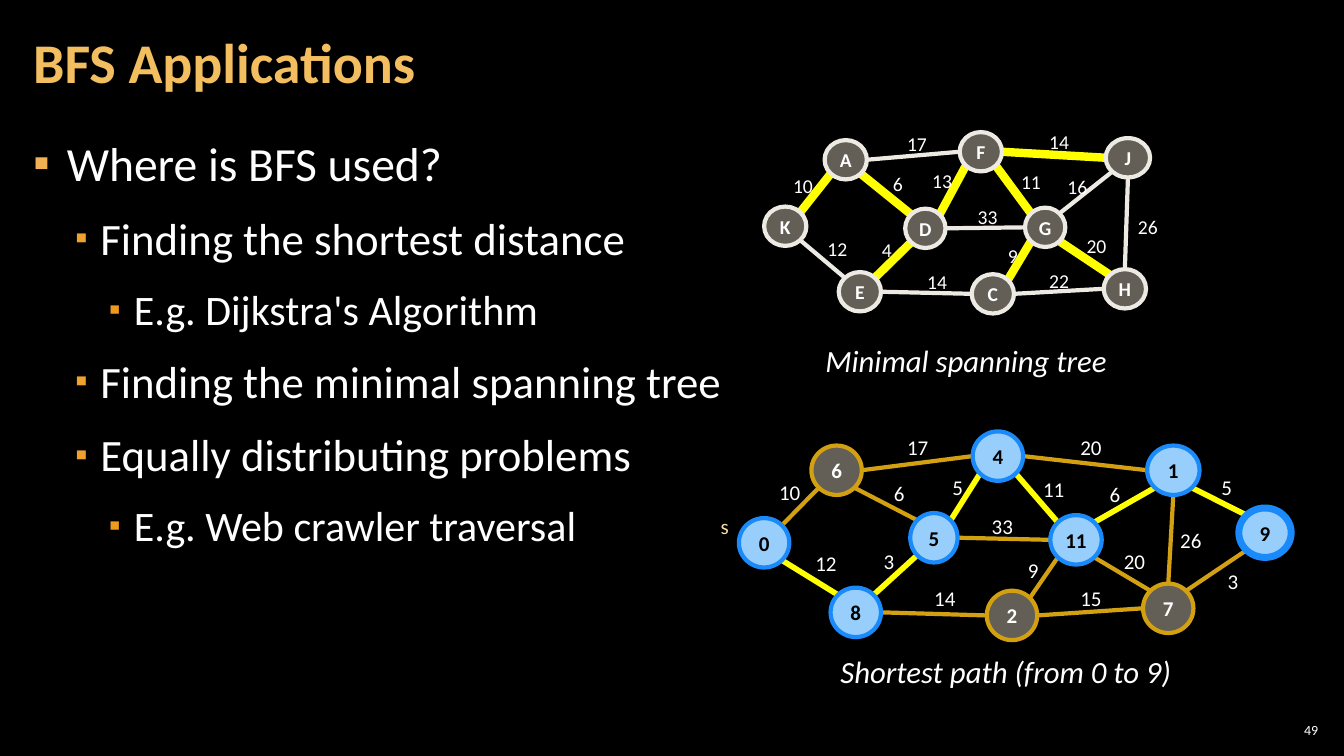
from dataclasses import dataclass
from math import cos, radians, sin

from lxml.etree import SubElement
from pptx import Presentation
from pptx.dml.color import RGBColor
from pptx.enum.shapes import MSO_CONNECTOR, MSO_SHAPE
from pptx.enum.text import MSO_ANCHOR, MSO_AUTO_SIZE, PP_ALIGN
from pptx.oxml.ns import qn
from pptx.shapes.shapetree import GroupShapes
from pptx.slide import Slide
from pptx.text.text import TextFrame, _Paragraph as Paragraph
from pptx.util import Pt

FONT = "Calibri"
BLACK = RGBColor(0x00, 0x00, 0x00)
WHITE = RGBColor(0xFF, 0xFF, 0xFF)
TITLE_GOLD = RGBColor(0xF3, 0xBE, 0x60)
START_CREAM = RGBColor(0xF8, 0xE1, 0x9F)
YELLOW = RGBColor(0xFF, 0xFF, 0x00)
IVORY = RGBColor(0xEC, 0xEA, 0xE3)
OCHRE = RGBColor(0xD2, 0xA0, 0x10)
STONE = RGBColor(0xC7, 0xBF, 0xAC)
SKY = RGBColor(0x97, 0xCE, 0xFB)
BLUE = RGBColor(0x1A, 0x8A, 0xFA)

# Degrees clockwise from east
HEADINGS = {"E": 0, "SE": 45, "S": 90, "SW": 135, "W": 180, "NW": 225, "N": 270, "NE": 315}


@dataclass(frozen=True)
class BulletLevel:
    size: int
    margin: float
    hanging: float
    color: str
    percent: int


@dataclass(frozen=True)
class Node:
    """A vertex given by its centre and width."""
    x: float
    y: float
    width: float
    visited: bool = False
    outline: float = 3

    def rim(self, height: float, degrees: float) -> tuple[float, float]:
        """Point on the ellipse in the given direction."""
        angle = radians(degrees)
        return self.x + self.width / 2 * cos(angle), self.y + height / 2 * sin(angle)


@dataclass(frozen=True)
class Edge:
    """An edge leaving start at a heading and meeting end on the opposite rim."""
    start: str
    heading: str
    end: str
    weight: str
    label_x: float
    label_y: float
    chosen: bool = False


@dataclass(frozen=True)
class Graph:
    nodes: dict[str, Node]
    edges: list[Edge]
    node_height: float
    size: int
    line_color: RGBColor
    chosen_width: float
    caption: str
    caption_box: tuple[float, float, float, float]


LEVELS = [
    BulletLevel(34, 24, 24, "F2B254", 100),
    BulletLevel(32, 48, 18, "F0A22E", 80),
    BulletLevel(30, 72, 18, "EF9A1D", 80),
]
APPLICATIONS = [
    (0, "Where is BFS used?"),
    (1, "Finding the shortest distance"),
    (2, "E.g. Dijkstra's Algorithm"),
    (1, "Finding the minimal spanning tree"),
    (1, "Equally distributing problems"),
    (2, "E.g. Web crawler traversal"),
]

SPANNING_TREE = Graph(
    nodes={
        "A": Node(604.1, 114.1, 30.2), "F": Node(700.6, 108.4, 30.2),
        "J": Node(805.7, 112.7, 31.7), "K": Node(560.9, 161.6, 30.2),
        "D": Node(661, 163.1, 28.8), "G": Node(746.6, 162.4, 28.8),
        "E": Node(614.2, 208.4, 30.2), "C": Node(709.2, 209.9, 30.2),
        "H": Node(803.5, 206.3, 30.2),
    },
    edges=[
        Edge("K", "NE", "A", "10", 559.4, 121, True), Edge("K", "SE", "E", "12", 583.9, 165.6),
        Edge("A", "E", "F", "17", 640.8, 90.7), Edge("D", "NW", "A", "6", 630.7, 119.5, True),
        Edge("D", "E", "G", "33", 691.2, 142.6), Edge("F", "E", "J", "14", 742.3, 89.3, True),
        Edge("G", "NE", "J", "16", 755.3, 121.7), Edge("H", "N", "J", "26", 805.7, 149.8),
        Edge("G", "SE", "H", "20", 769, 163.4, True), Edge("C", "W", "E", "14", 655.2, 189.4),
        Edge("H", "W", "C", "22", 742.3, 188.6), Edge("C", "NE", "G", "9", 712.8, 170.6, True),
        Edge("D", "SW", "E", "4", 622.8, 166.3, True), Edge("F", "SW", "D", "13", 658.8, 117.4, True),
        Edge("G", "NW", "F", "11", 722.2, 118.1, True),
    ],
    node_height=28.1, size=14, line_color=IVORY, chosen_width=6,
    caption="Minimal spanning tree", caption_box=(582.5, 240.5, 242.6, 33.8),
)
SHORTEST_PATH = Graph(
    nodes={
        "6": Node(597.6, 335.9, 36), "4": Node(712.8, 325.8, 36, True),
        "1": Node(838.1, 335.9, 37.4, True), "0": Node(545.8, 387.7, 36, True),
        "5": Node(667.1, 384.1, 33.8, True), "11": Node(768.6, 385.6, 36.7, True),
        "9": Node(903.6, 380.5, 37.4, True, 5), "8": Node(611.3, 437.4, 36, True),
        "2": Node(722.9, 439.6, 36), "7": Node(834.5, 434.5, 36),
    },
    edges=[
        Edge("0", "NE", "6", "10", 549.4, 339.1), Edge("0", "SE", "8", "12", 575.3, 389.5, True),
        Edge("6", "E", "4", "17", 640.8, 306.7), Edge("5", "NW", "6", "6", 631.4, 339.8),
        Edge("5", "E", "11", "33", 701.3, 363.6), Edge("4", "E", "1", "20", 764.6, 306.7),
        Edge("11", "NE", "1", "6", 785.5, 340.6, True), Edge("7", "N", "1", "26", 835.9, 373),
        Edge("11", "SE", "7", "20", 795.6, 388.1), Edge("2", "W", "8", "14", 660.2, 414.7),
        Edge("7", "W", "2", "15", 764.6, 414.7), Edge("2", "NE", "11", "9", 727.2, 394.6),
        Edge("5", "SW", "8", "3", 624.2, 388.1, True), Edge("4", "SW", "5", "5", 673.2, 335.5, True),
        Edge("11", "NW", "4", "11", 738, 337, True), Edge("9", "NW", "1", "5", 865.4, 335.5, True),
        Edge("9", "SW", "7", "3", 869.8, 402.5),
    ],
    node_height=35.3, size=15, line_color=OCHRE, chosen_width=4,
    caption="Shortest path (from 0 to 9)", caption_box=(593.3, 463, 254.2, 33.8),
)


def style(paragraph: Paragraph, size: float, color: RGBColor, bold: bool = False, italic: bool = False) -> None:
    for run in paragraph.runs:
        font = run.font
        font.name, font.size, font.bold, font.italic = FONT, Pt(size), bold, italic
        font.color.rgb = color


def set_insets(frame: TextFrame, horizontal: float, vertical: float) -> None:
    frame.margin_left = frame.margin_right = Pt(horizontal)
    frame.margin_top = frame.margin_bottom = Pt(vertical)


def add_label(shapes: GroupShapes, text: str, box: tuple[float, float, float, float], size: float,
              color: RGBColor = WHITE, italic: bool = False, wrap: bool = False) -> TextFrame:
    frame = shapes.add_textbox(*map(Pt, box)).text_frame
    frame.word_wrap = wrap
    frame.text = text
    style(frame.paragraphs[0], size, color, italic=italic)
    return frame


def add_edge(shapes: GroupShapes, graph: Graph, edge: Edge) -> None:
    degrees = HEADINGS[edge.heading]
    begin = graph.nodes[edge.start].rim(graph.node_height, degrees)
    finish = graph.nodes[edge.end].rim(graph.node_height, degrees + 180)
    link = shapes.add_connector(MSO_CONNECTOR.STRAIGHT, *map(Pt, begin + finish))
    link.line.color.rgb = YELLOW if edge.chosen else graph.line_color
    link.line.width = Pt(graph.chosen_width if edge.chosen else 3)
    SubElement(link._element.spPr, qn("a:effectLst"))


def add_node(shapes: GroupShapes, graph: Graph, name: str, node: Node) -> None:
    height = graph.node_height
    box = (node.x - node.width / 2, node.y - height / 2, node.width, height)
    vertex = shapes.add_shape(MSO_SHAPE.OVAL, *map(Pt, box))
    vertex.shadow.inherit = False
    vertex.fill.solid()
    vertex.fill.fore_color.rgb = SKY if node.visited else STONE
    if not node.visited:
        color = vertex._element.spPr.find(qn("a:solidFill"))[0]
        SubElement(color, qn("a:alpha"), val="50000")
    vertex.line.color.rgb = BLUE if node.visited else graph.line_color
    vertex.line.width = Pt(node.outline)
    frame = vertex.text_frame
    set_insets(frame, 3, 3.6)
    frame.vertical_anchor = MSO_ANCHOR.MIDDLE
    frame.word_wrap = False
    frame.text = name
    frame.paragraphs[0].alignment = PP_ALIGN.CENTER
    style(frame.paragraphs[0], graph.size, BLACK if node.visited else WHITE, bold=True)


def add_graph(slide: Slide, graph: Graph) -> GroupShapes:
    shapes = slide.shapes.add_group_shape().shapes
    for edge in graph.edges:
        add_edge(shapes, graph, edge)
    for name, node in graph.nodes.items():
        add_node(shapes, graph, name, node)
    for edge in graph.edges:
        width = 14.4 + 0.507 * graph.size * len(edge.weight)
        add_label(shapes, edge.weight, (edge.label_x, edge.label_y, width, 24.5), graph.size)
    add_label(shapes, graph.caption, graph.caption_box, 22, italic=True, wrap=True)
    return shapes


def fill_title(slide: Slide) -> None:
    title = slide.shapes.title
    title.left, title.top, title.width, title.height = map(Pt, (15.1, 2.9, 753.8, 87.1))
    frame = title.text_frame
    frame.text = "BFS Applications"
    frame.auto_size = MSO_AUTO_SIZE.NONE
    frame.vertical_anchor = MSO_ANCHOR.MIDDLE
    set_insets(frame, 8.6, 3)
    heading = frame.paragraphs[0]
    heading.alignment = PP_ALIGN.LEFT
    heading.line_spacing = 0.9
    style(heading, 40, TITLE_GOLD, bold=True)


def fill_applications(slide: Slide) -> None:
    body = slide.placeholders[1]
    body.left, body.top, body.width, body.height = map(Pt, (15.1, 90.7, 929.5, 438.5))
    frame = body.text_frame
    frame.text = "\n".join(text for _, text in APPLICATIONS)
    frame.auto_size = MSO_AUTO_SIZE.NONE
    frame.vertical_anchor = MSO_ANCHOR.TOP
    set_insets(frame, 8.6, 3)
    for item, (depth, _) in zip(frame.paragraphs, APPLICATIONS):
        level = LEVELS[depth]
        item.level = depth
        item.line_spacing = 1.05
        item.space_before = item.space_after = Pt(6)
        style(item, level.size, WHITE)
        properties = item._p.get_or_add_pPr()
        properties.set("marL", str(Pt(level.margin)))
        properties.set("indent", str(-Pt(level.hanging)))
        SubElement(SubElement(properties, qn("a:buClr")), qn("a:srgbClr"), val=level.color)
        SubElement(properties, qn("a:buSzPct"), val=str(level.percent * 1000))
        SubElement(properties, qn("a:buChar"), char="▪")


def main() -> None:
    deck = Presentation()
    deck.slide_width, deck.slide_height = Pt(960), Pt(540)
    slide = deck.slides.add_slide(deck.slide_layouts[1])
    slide.background.fill.solid()
    slide.background.fill.fore_color.rgb = BLACK
    fill_title(slide)
    fill_applications(slide)
    add_graph(slide, SPANNING_TREE)
    path_shapes = add_graph(slide, SHORTEST_PATH)
    add_label(path_shapes, "s", (507.6, 363.6, 20.2, 24.5), 15, START_CREAM)
    page = add_label(slide.shapes, "49", (910.8, 514.1, 33.8, 15.1), 10, wrap=True)
    page.vertical_anchor = MSO_ANCHOR.MIDDLE
    page.paragraphs[0].alignment = PP_ALIGN.RIGHT
    set_insets(page, 3, 3)
    deck.save("out.pptx")


if __name__ == "__main__":
    main()
